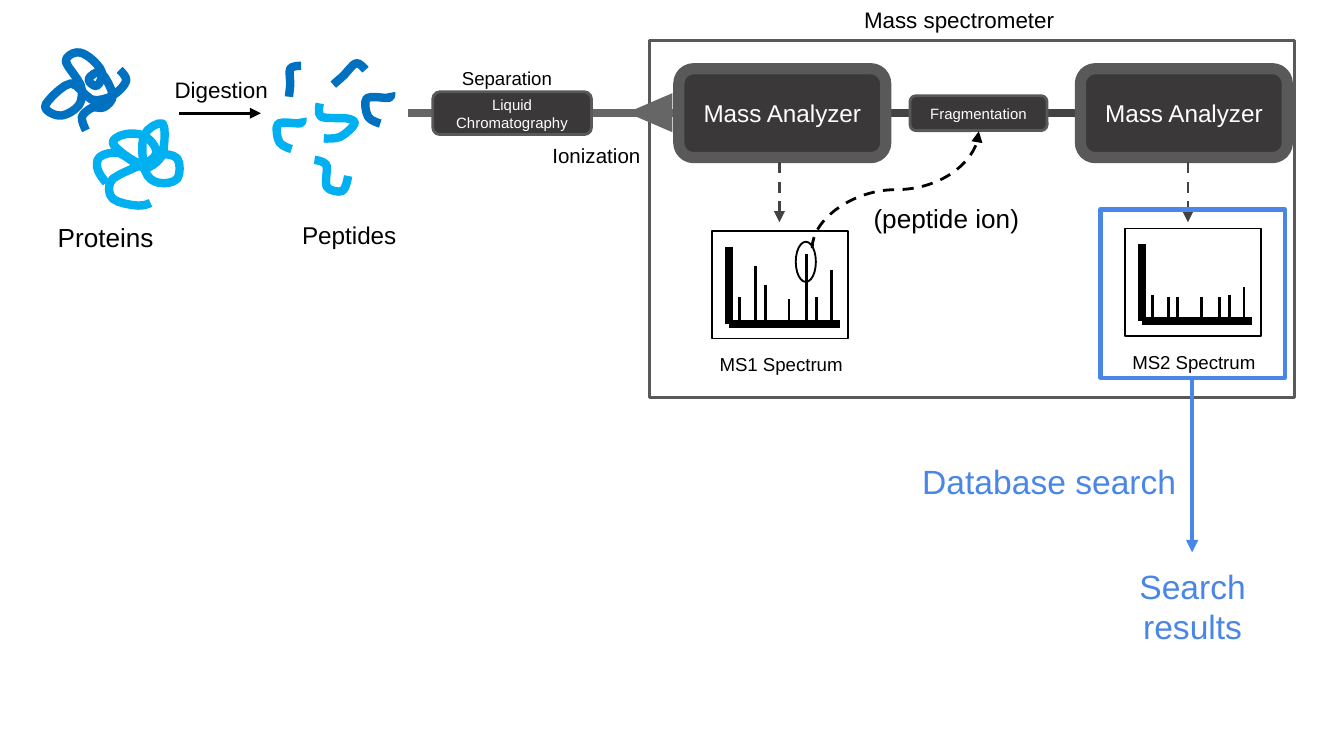
from dataclasses import dataclass

from lxml import etree
from pptx import Presentation
from pptx import util as u
from pptx.dml import color
from pptx.enum import dml, shapes, text
from pptx.oxml import ns


@dataclass(frozen=True)
class Theme:
    font: str = "Arial"
    ink: str = "000000"
    paper: str = "FFFFFF"
    box: str = "3A3838"
    edge: str = "595959"
    flow: str = "434343"
    ion: str = "666666"
    blue: str = "4A86E8"
    dark_chain: str = "0070C0"
    light_chain: str = "00B0F0"
    tiny: int = 8
    small: int = 10
    note: int = 11
    body: int = 12
    large: int = 13
    title: int = 14
    result: int = 18
    thin: float = 1
    normal: float = 1.5
    medium: float = 2.25
    thick: float = 4.5
    heavy: float = 6


T = Theme()
KIND = shapes.MSO_SHAPE
GRID = u.Cm(2.54) / 100  # strand points lie on this grid
AXIS_Y = 2.14  # the flow runs along this height


@dataclass(frozen=True)
class Label:
    words: str
    x: float
    y: float
    size: int
    w: float = 2.36
    h: float = 0.6


@dataclass(frozen=True)
class Module:
    words: str
    x: float
    w: float
    h: float
    size: int = T.tiny
    border: float = T.normal


@dataclass(frozen=True)
class Spectrum:
    name: str
    x: float
    y: float
    peaks: tuple[float, ...]


@dataclass(frozen=True)
class Strand:
    ink: str
    points: tuple[tuple[int, int], ...]


def rgb(value: str) -> color.RGBColor:
    return color.RGBColor.from_string(value)


def paint(sp, fill: str | None, line: str | None, width: float = T.normal) -> None:
    sp.shadow.inherit = False
    for part, ink in ((sp.fill, fill), (sp.line.fill, line)):
        if ink:
            part.solid()
            part.fore_color.rgb = rgb(ink)
        else:
            part.background()
    if line:
        sp.line.width = u.Pt(width)


def write(sp, words: str, size: int, ink: str, centred: bool) -> None:
    tf = sp.text_frame
    tf.word_wrap = True
    p = tf.paragraphs[0]
    p.alignment = text.PP_ALIGN.CENTER if centred else text.PP_ALIGN.LEFT
    r = p.add_run()
    r.text = words
    for name, value in {"name": T.font, "size": u.Pt(size)}.items():
        setattr(r.font, name, value)
    r.font.color.rgb = rgb(ink)


def add_box(sl, kind, x: float, y: float, w: float, h: float,
            fill: str | None, line: str | None, width: float = T.normal):
    sp = sl.shapes.add_shape(kind, u.Cm(x), u.Cm(y), u.Cm(w), u.Cm(h))
    paint(sp, fill, line, width)
    return sp


def add_line(sl, x1: float, y1: float, x2: float, y2: float, ink: str = T.ink,
             width: float = T.normal, arrow: bool = False, dash: bool = False,
             kind=shapes.MSO_CONNECTOR.STRAIGHT):
    c = sl.shapes.add_connector(kind, u.Cm(x1), u.Cm(y1), u.Cm(x2), u.Cm(y2))
    c.line.color.rgb = rgb(ink)
    c.line.width = u.Pt(width)
    if dash:
        c.line.dash_style = dml.MSO_LINE.DASH
    if arrow:
        etree.SubElement(c.line._get_or_add_ln(), ns.qn("a:tailEnd"), type="triangle")
    etree.SubElement(c._element.spPr, ns.qn("a:effectLst"))
    return c


def add_label(sl, lb: Label) -> None:
    sp = sl.shapes.add_textbox(u.Cm(lb.x), u.Cm(lb.y), u.Cm(lb.w), u.Cm(lb.h))
    is_result = lb.size == T.result
    if is_result:
        for side in ("margin_top", "margin_bottom"):
            setattr(sp.text_frame, side, u.Cm(0.25))
    write(sp, lb.words, lb.size, T.blue if is_result else T.ink, is_result)


def add_module(sl, m: Module) -> None:
    sp = add_box(sl, KIND.ROUNDED_RECTANGLE, m.x, AXIS_Y - m.h / 2, m.w, m.h,
                 T.box, T.edge, m.border)
    sp.text_frame.vertical_anchor = text.MSO_ANCHOR.MIDDLE
    write(sp, m.words, m.size, T.paper, True)


def add_spectrum(sl, s: Spectrum) -> None:
    add_box(sl, KIND.RECTANGLE, s.x, s.y, 2.57, 2.03, T.paper, T.ink, T.thin)
    left, base = s.x + 0.32, s.y + 1.75
    add_line(sl, left, s.y + 0.3, left, base, width=T.thick)
    for dx, height in zip((0.52, 0.82, 1, 1.45, 1.78, 1.97, 2.25), s.peaks):
        add_line(sl, s.x + dx, base - height, s.x + dx, base)
    add_line(sl, s.x + 2.41, base, left, base, width=T.thick)
    add_label(sl, Label(s.name, s.x - 0.11, s.y + 2.18, T.small, 3.23))


def smooth(points: tuple, rounds: int = 2) -> list:
    """Insert a point between each two, keeping the given ones on the curve."""
    for _ in range(rounds):
        ends = (points[0], *points, points[-1])
        curve = [points[0]]
        for a, b, c, d in zip(ends, ends[1:], ends[2:], ends[3:]):
            middle = tuple((9 * (q + r) - p - s) / 16 for p, q, r, s in zip(a, b, c, d))
            curve += [middle, c]
        points = curve
    return [(x * GRID, y * GRID) for x, y in points]


def add_strand(sl, st: Strand) -> None:
    start, *rest = smooth(st.points)
    fb = sl.shapes.build_freeform(*start)
    fb.add_line_segments(rest, close=False)
    paint(fb.convert_to_shape(), None, st.ink, T.thick)


HOOK = ((217, 111), (208, 106), (207, 92), (223, 92), (225, 88))

STRANDS = (
    # Proteins
    Strand(T.light_chain, (
        (79, 136), (73, 127), (74, 117), (89, 114), (107, 125), (119, 118), (122, 109),
        (121, 92), (107, 101), (108, 127), (118, 136), (132, 133), (132, 118), (119, 115),
        (115, 122), (102, 121), (84, 107), (93, 100), (107, 101), (116, 111), (111, 120),
        (84, 133), (84, 148), (103, 153), (112, 151))),
    Strand(T.dark_chain, (
        (89, 52), (94, 60), (84, 71), (68, 74), (53, 62), (36, 75), (35, 82), (46, 86),
        (59, 78), (60, 63), (49, 46), (57, 39), (67, 43), (76, 54), (72, 64), (66, 59),
        (75, 54), (84, 71), (77, 80), (69, 80), (61, 87), (64, 97))),
    # Peptides
    Strand(T.dark_chain, ((224, 49), (216, 51), (216, 62), (215, 72))),
    Strand(T.dark_chain, ((272, 52), (265, 47), (256, 56), (248, 63))),
    Strand(T.light_chain, ((238, 77), (239, 87), (257, 88), (264, 92), (253, 102), (241, 103))),
    Strand(T.light_chain, HOOK),
    Strand(T.dark_chain, tuple((x + 66, y - 19) for x, y in HOOK)),
    Strand(T.light_chain, ((234, 119), (243, 123), (243, 139), (255, 142), (259, 131))),
)

MODULES = (
    *(Module("Mass Analyzer", x, 3.91, 1.68, T.large, T.heavy) for x in (12.83, 20.42)),
    Module("Liquid Chromatography", 8.18, 3, 0.81),
    Module("Fragmentation", 17.2, 2.59, 0.66),
)

SPECTRA = (
    Spectrum("MS1 Spectrum", 13.46, 4.37, (0.5, 1.1, 0.73, 0.46, 1.32, 0.5, 1.02)),
    Spectrum("MS2 Spectrum", 21.26, 4.32, (0.5, *[0.46] * 4, 0.5, 0.64)),
)

LABELS = (
    Label("Proteins", 0.84, 4.06, T.title),
    Label("Digestion", 3.05, 1.32, T.body),
    Label("Peptides", 5.46, 4.04, T.large),
    Label("Separation", 8.48, 1.14, T.small),
    Label("Ionization", 10.19, 2.57, T.note),
    Label("Mass spectrometer", 16.08, 0, T.body, 5),
    Label("(peptide ion)", 16.26, 3.71, T.title, 4.62),
    Label("Search results", 20.8, 10.44, T.result, 3.48, 2.06),
    Label("Database search", 17.15, 8.46, T.result, 5.36, 1.27),
)


def main() -> None:
    prs = Presentation()
    prs.slide_width, prs.slide_height = u.Cm(25.4), u.Cm(14.29)
    sl = prs.slides.add_slide(prs.slide_layouts[6])

    # Instrument frame and sample
    add_box(sl, KIND.RECTANGLE, 12.27, 0.76, 12.19, 6.76, None, T.edge)
    for st in STRANDS:
        add_strand(sl, st)
    add_line(sl, 3.38, AXIS_Y, 4.93, AXIS_Y, arrow=True)

    # Flow through the instrument
    for x1, x2, ink in ((7.72, 12.73, T.ion), (16.74, 20.42, T.flow)):
        add_line(sl, x1, AXIS_Y, x2, AXIS_Y, ink, T.thick)
    for m in MODULES:
        add_module(sl, m)
    cone = add_box(sl, KIND.FLOWCHART_EXTRACT, 11.91, 1.7, 0.74, 0.86, T.ion, None)
    cone.rotation = 270

    # Spectra
    for s in SPECTRA:
        add_spectrum(sl, s)
    for x in (14.73, 22.45):
        add_line(sl, x, 3.06, x, 4.2, T.flow, arrow=True, dash=True)

    # Selected ion, sent on to fragmentation by a quarter-turned curve
    add_box(sl, KIND.OVAL, 15.04, 4.57, 0.38, 0.76, None, T.ink, T.thin)
    curve = add_line(sl, 15.82, 2.01, 18.03, 5.16, arrow=True, dash=True,
                     kind=shapes.MSO_CONNECTOR.CURVE)
    curve._element.spPr.find(ns.qn("a:xfrm")).set("rot", str(270 * 60000))

    # Database search
    add_box(sl, KIND.RECTANGLE, 20.8, 3.96, 3.48, 3.18, None, T.blue, T.medium)
    add_line(sl, 22.53, 7.14, 22.53, 10.44, T.blue, T.medium, arrow=True)
    for lb in LABELS:
        add_label(sl, lb)

    prs.save("out.pptx")


if __name__ == "__main__":
    main()
